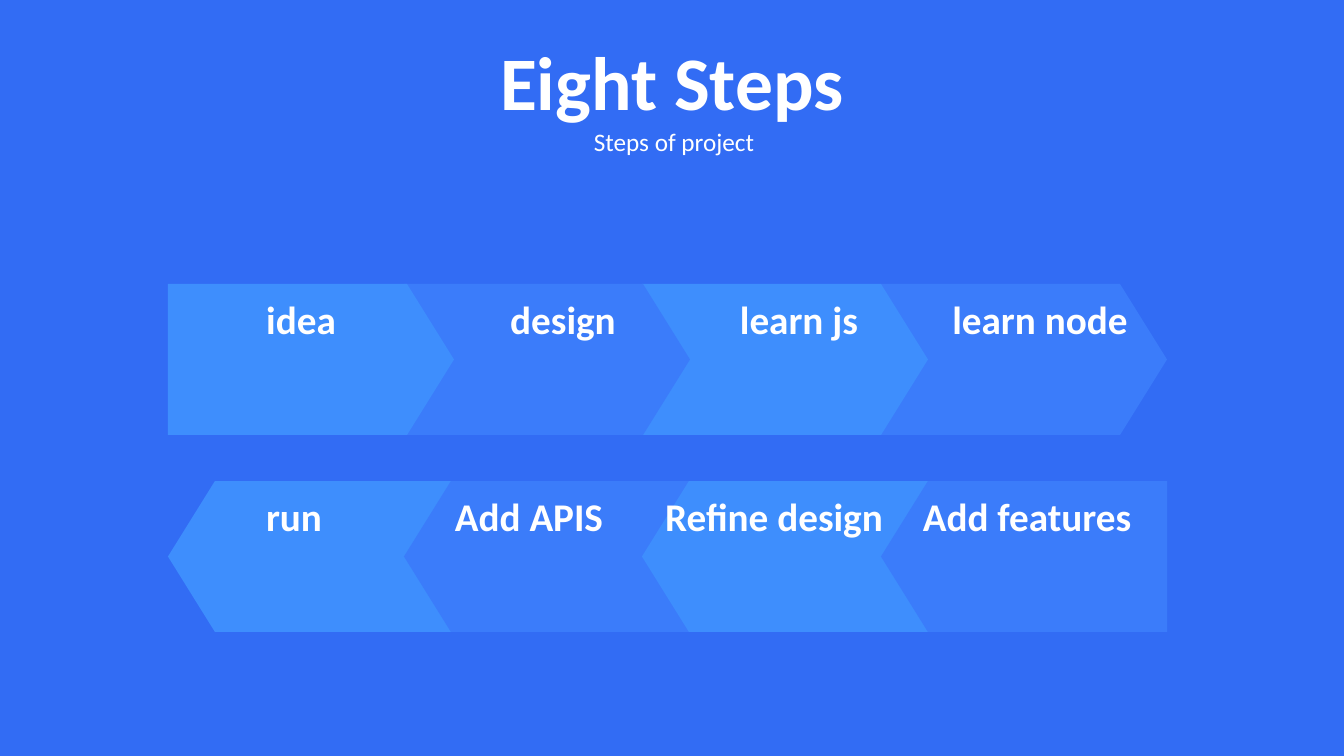
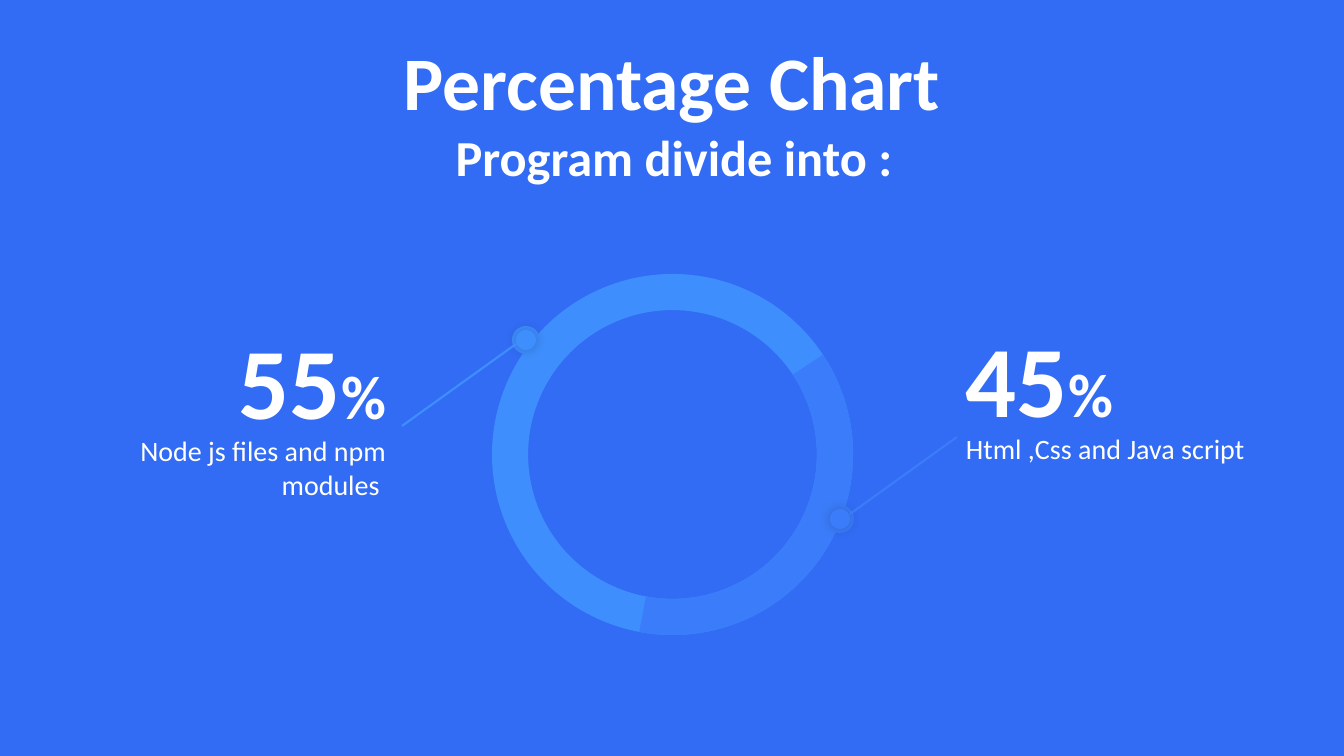
from lxml import etree
from pptx import Presentation
from pptx.dml.color import RGBColor
from pptx.enum.shapes import MSO_CONNECTOR, MSO_SHAPE
from pptx.enum.text import MSO_ANCHOR, MSO_AUTO_SIZE, PP_ALIGN
from pptx.oxml.ns import qn
from pptx.util import Pt

LEFT, CENTER, RIGHT = PP_ALIGN.LEFT, PP_ALIGN.CENTER, PP_ALIGN.RIGHT
TOP, FIXED = MSO_ANCHOR.TOP, MSO_AUTO_SIZE.NONE
RECT, WEDGE = MSO_SHAPE.RECTANGLE, MSO_SHAPE.ISOSCELES_TRIANGLE
RING, ARC, OVAL = MSO_SHAPE.DONUT, MSO_SHAPE.BLOCK_ARC, MSO_SHAPE.OVAL
STRAIGHT = MSO_CONNECTOR.STRAIGHT

SCALE = 914400 / 100.8
FONT = "Calibri"
BACK, LIGHT, DARK, WHITE = "326CF4", "3E8EFD", "3B7CFA", "FFFFFF"

BODY, TIP, HIGH = 239, 47, 151
STEPS = (0, 236, 474, 713)
LABEL_W, LABEL_H = 312, 57
DOT, RIM = 28, 4


def px(*sizes):
    return [round(size * SCALE) for size in sizes]


def color(code):
    return RGBColor.from_string(code)


def style(par, size, bold, align):
    par.alignment = align
    par.space_before = Pt(0)
    font = par.font
    font.name, font.size, font.bold = FONT, Pt(size), bold
    font.color.rgb = color(WHITE)


def fill_text(shape, text, size, bold=False, align=CENTER):
    frame = shape.text_frame
    frame.word_wrap = True
    frame.auto_size = FIXED
    frame.vertical_anchor = TOP
    frame.text = text
    style(frame.paragraphs[0], size, bold, align)
    return frame.paragraphs[0]


def add_text(slide, box, *args):
    return fill_text(slide.shapes.add_textbox(*px(*box)), *args)


def add_shape(slide, kind, box, code, *adjust, turn=0):
    shape = slide.shapes.add_shape(kind, *px(*box))
    shape.fill.solid()
    shape.fill.fore_color.rgb = color(code)
    shape.line.fill.background()
    shape.shadow.inherit = False
    shape.rotation = turn
    for index, value in enumerate(adjust):
        shape.adjustments[index] = value
    return shape


def add_glow(shape):
    effects = shape.element.spPr.find(qn("a:effectLst"))
    glow = etree.SubElement(effects, qn("a:outerShdw"), blurRad=str(Pt(8)),
                            algn="ctr", rotWithShape="0")
    tint = etree.SubElement(glow, qn("a:srgbClr"), val="000000")
    etree.SubElement(tint, qn("a:alpha"), val="20000")


def add_slide(prs, title, note, size, bold):
    slide = prs.slides.add_slide(prs.slide_layouts[0])
    heads = (
        (slide.shapes.title, (302, 30, 740, 102), title, 54, True),
        (slide.placeholders[1], (254, 121, 840, 72), note, size, bold),
    )
    for shape, box, text, points, heavy in heads:
        shape.left, shape.top, shape.width, shape.height = px(*box)
        fill_text(shape, text, points, heavy)
    return slide


def add_arrow(slide, left, top, code, back):
    body = left + TIP if back else left
    tip = left if back else left + BODY
    add_shape(slide, RECT, (body, top, BODY, HIGH), code,
              turn=180 if back else 0)
    shift = (HIGH - TIP) / 2
    add_shape(slide, WEDGE, (tip - shift, top + shift, HIGH, TIP), code,
              turn=270 if back else 90)


def add_row(slide, left, top, labels, back=False):
    order = range(len(labels))
    for index in order if back else reversed(order):
        code = DARK if index % 2 else LIGHT
        add_arrow(slide, left + STEPS[index], top, code, back)
    for text, middle in labels:
        box = (left + middle - LABEL_W // 2, top + 6, LABEL_W, LABEL_H)
        add_text(slide, box, text, 28, True)


def add_ring(slide, left, top, side):
    box = (left, top, side, side)
    add_shape(slide, RING, box, LIGHT, 0.1)
    add_shape(slide, ARC, box, DARK, 150.87, 15.36, 0.1, turn=75)


def add_lead(slide, left, top, start, end, code):
    add_shape(slide, OVAL, (left, top, DOT, DOT), code)
    core = DOT - 2 * RIM
    add_glow(add_shape(slide, OVAL, (left + RIM, top + RIM, core, core), code))
    ends = (left + start[0], top + start[1], left + end[0], top + end[1])
    line = slide.shapes.add_connector(STRAIGHT, *px(*ends))
    line.line.color.rgb = color(code)
    line.line.width = Pt(1.5)
    etree.SubElement(line.element.spPr, qn("a:effectLst"))


def add_stat(slide, left, top, value, text, align):
    par = add_text(slide, (left, top, 323, 132), value, 72, True, align)
    par.add_run().text = "%"
    for run, size in zip(par.runs, (72, 44)):
        run.font.size = Pt(size)
    add_text(slide, (left, top + 115, 323, 78), text, 20, False, align)


def add_steps(prs):
    slide = add_slide(prs, "Eight Steps", "Steps of project", 18, False)
    add_row(slide, 168, 284, (("idea", 133), ("design", 395),
                              ("learn js", 631), ("learn node", 872)))
    add_row(slide, 168, 481, (("run", 126), ("Add APIS", 361),
                              ("Refine design", 606), ("Add features", 859)),
            back=True)


def add_share(prs):
    slide = add_slide(prs, "Percentage Chart", "Program divide into :", 36, True)
    add_ring(slide, 492, 274, 361)
    add_lead(slide, 826, 505, (24, 9), (131, -68), DARK)
    add_lead(slide, 512, 326, (4, 18), (-110, 100), LIGHT)
    add_stat(slide, 956, 312, "45", "Html ,Css and Java script", LEFT)
    add_stat(slide, 73, 314, "55", "Node js files and npm modules ", RIGHT)


def main():
    prs = Presentation()
    prs.slide_width, prs.slide_height = px(1344, 756)
    fill = prs.slide_master.background.fill
    fill.solid()
    fill.fore_color.rgb = color(BACK)
    add_steps(prs)
    add_share(prs)
    prs.save("out.pptx")


if __name__ == "__main__":
    main()
